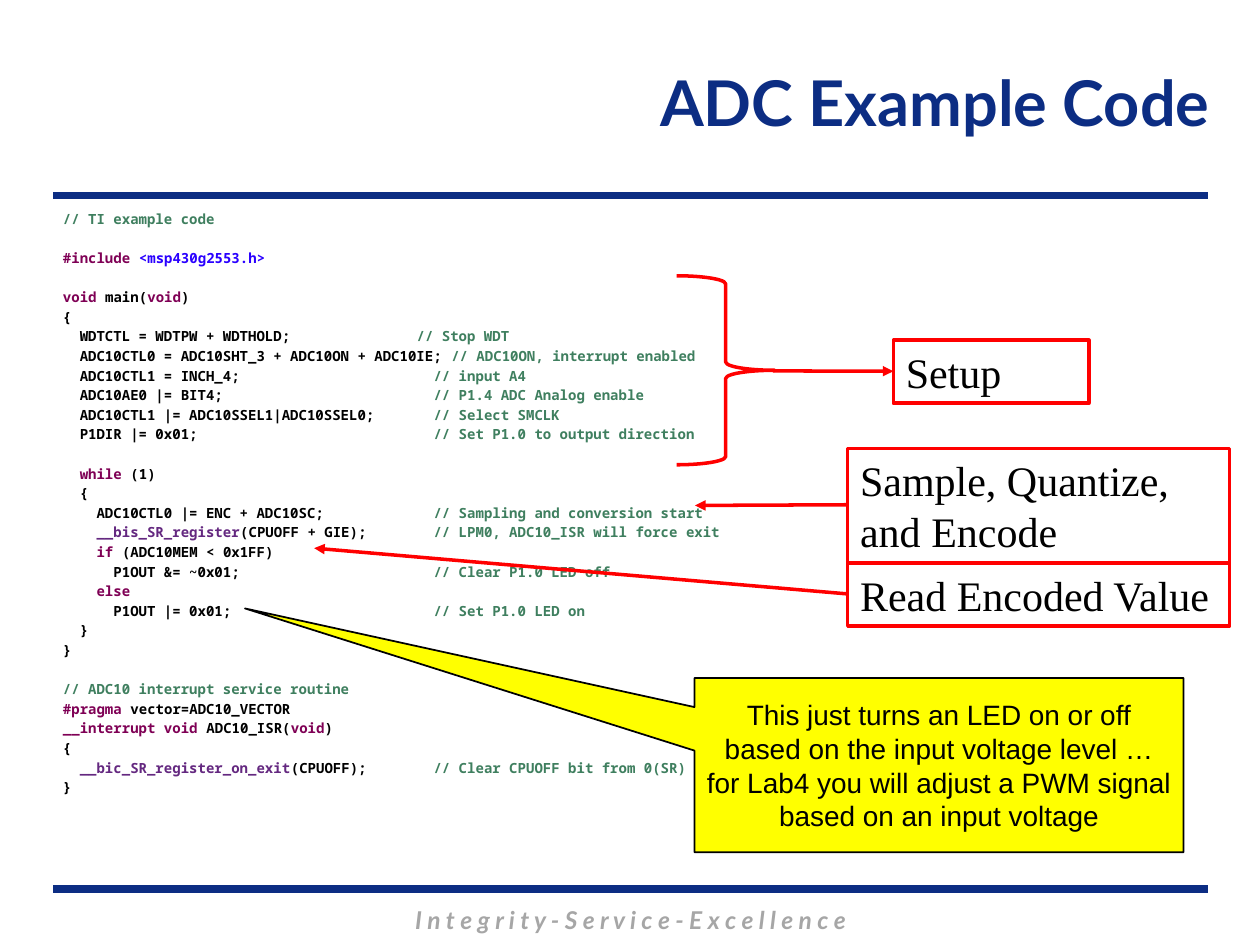
import pptx
import pptx.dml.color
import pptx.enum.shapes
import pptx.enum.text
import pptx.oxml.ns
import pptx.util
from lxml import etree
from typing import Any, NamedTuple, Optional

Cm, Pt = pptx.util.Cm, pptx.util.Pt
SHAPE = pptx.enum.shapes.MSO_SHAPE
ALIGN = pptx.enum.text.PP_ALIGN
ANCHOR = pptx.enum.text.MSO_ANCHOR
qn = pptx.oxml.ns.qn

NAVY, GREY, RED, YELLOW, WHITE = "0C2D83", "A6A6A6", "FF0000", "FFFF00", "FFFFFF"
INK, KEY, CALL, FILE, NOTE = "000000", "7F0055", "642880", "2A00FF", "3F7F5F"
PITCH = 11.2  # height of a code line in points
TAB = 7.47  # column of the code comments in cm

TITLE = {"name": "Lato", "size": Pt(36), "bold": True}
MOTTO = {"name": "Lato", "size": Pt(14), "bold": True, "italic": True}
CODE = {"name": "Noto Sans Mono", "size": Pt(8), "bold": True}
LABEL = {"name": "Times New Roman", "size": Pt(24)}
REMARK = {"name": "Arial", "size": Pt(16)}


class Box(NamedTuple):
    left: float
    top: float
    width: float
    height: float


class Line(NamedTuple):
    tokens: list[tuple[str, str]]
    note: str = ""
    gap: bool = False
    tab: Optional[float] = TAB


class Callout(NamedTuple):
    text: str
    box: Box
    bends: tuple[float, ...]
    end: str


LINES = [
    Line([("// TI example code", NOTE)]),
    Line([("#include ", KEY), ("<msp430g2553.h>", FILE)], gap=True),
    Line([("void ", KEY), ("main(", INK), ("void", KEY), (")", INK)], gap=True),
    Line([("{", INK)]),
    Line([("  WDTCTL = WDTPW + WDTHOLD;", INK)], "// Stop WDT", tab=7.13),
    Line([("  ADC10CTL0 = ADC10SHT_3 + ADC10ON + ADC10IE; ", INK)],
         "// ADC10ON, interrupt enabled", tab=None),
    Line([("  ADC10CTL1 = INCH_4;", INK)], "// input A4"),
    Line([("  ADC10AE0 |= BIT4;", INK)], "// P1.4 ADC Analog enable"),
    Line([("  ADC10CTL1 |= ADC10SSEL1|ADC10SSEL0;", INK)], "// Select SMCLK"),
    Line([("  P1DIR |= 0x01;", INK)], "// Set P1.0 to output direction"),
    Line([("  while", KEY), (" (1)", INK)], gap=True),
    Line([("  {", INK)]),
    Line([("    ADC10CTL0 |= ENC + ADC10SC;", INK)], "// Sampling and conversion start"),
    Line([("    __bis_SR_register", CALL), ("(CPUOFF + GIE);", INK)],
         "// LPM0, ADC10_ISR will force exit"),
    Line([("    if", KEY), (" (ADC10MEM < 0x1FF)", INK)]),
    Line([("      P1OUT &= ~0x01;", INK)], "// Clear P1.0 LED off"),
    Line([("    else", KEY)]),
    Line([("      P1OUT |= 0x01;", INK)], "// Set P1.0 LED on"),
    Line([("  }", INK)]),
    Line([("}", INK)]),
    Line([("// ADC10 interrupt service routine", NOTE)], gap=True),
    Line([("#pragma", KEY), (" vector=ADC10_VECTOR", INK)]),
    Line([("__interrupt void", KEY), (" ADC10_ISR(", INK), ("void", KEY), (")", INK)]),
    Line([("{", INK)]),
    Line([("  __bic_SR_register_on_exit", CALL), ("(CPUOFF);", INK)],
         "// Clear CPUOFF bit from 0(SR)"),
    Line([("}", INK)]),
]

CALLOUTS = [
    Callout("Setup", Box(18.01, 6.86, 3.94, 1.27), (0.492, 0, 0.487, -0.617), "headEnd"),
    Callout("Sample, Quantize, and Encode", Box(17.09, 9.04, 7.7, 2.31),
            (0.492, 0, 0.498, -0.4), "tailEnd"),
    Callout("Read Encoded Value", Box(17.09, 11.35, 7.7, 1.27),
            (0.492, 0, -0.236, -1.397), "tailEnd"),
]


def tint(fill: Any, shade: str) -> None:
    fill.solid()
    fill.fore_color.rgb = pptx.dml.color.RGBColor.from_string(shade)


def write(para: Any, text: str, look: dict, shade: str) -> None:
    run = para.add_run()
    run.text = text
    for name, value in look.items():
        setattr(run.font, name, value)
    tint(run.font.fill, shade)


def rule(slide: Any, top: float) -> None:
    line = slide.shapes.add_connector(
        pptx.enum.shapes.MSO_CONNECTOR.STRAIGHT, Cm(1.07), Cm(top), Cm(24.36), Cm(top))
    line.line.width = Pt(4.5)
    tint(line.line.fill, NAVY)
    etree.SubElement(line._element.spPr, qn("a:effectLst"))


def text_box(slide: Any, box: Box) -> Any:
    frame = slide.shapes.add_textbox(*map(Cm, box)).text_frame
    frame.word_wrap = True
    return frame


def form(slide: Any, kind: Any, box: Box, fill: Optional[str], edge: str,
         width: float, bends: tuple[float, ...] = ()) -> Any:
    shape = slide.shapes.add_shape(kind, *map(Cm, box))
    shape.shadow.inherit = False
    for spot, bend in enumerate(bends):
        shape.adjustments[spot] = bend
    if fill:
        tint(shape.fill, fill)
    else:
        shape.fill.background()
    shape.line.width = Pt(width)
    tint(shape.line.fill, edge)
    return shape


def label(shape: Any, text: str, look: dict, align: Any, anchor: Any) -> None:
    frame = shape.text_frame
    frame.word_wrap = True
    frame.vertical_anchor = anchor
    frame.paragraphs[0].alignment = align
    write(frame.paragraphs[0], text, look, INK)


def code(slide: Any) -> None:
    frame = text_box(slide, Box(1.02, 4.06, 23.37, 13.72))
    for row, line in enumerate(LINES):
        para = frame.add_paragraph() if row else frame.paragraphs[0]
        if line.note and line.tab:
            tabs = etree.SubElement(para._p.get_or_add_pPr(), qn("a:tabLst"))
            etree.SubElement(tabs, qn("a:tab"), pos=str(Cm(line.tab)), algn="l")
        para.line_spacing = Pt(PITCH)
        para.space_before = Pt(PITCH if line.gap else 0)
        for text, shade in line.tokens:
            write(para, text, CODE, shade)
        if line.note:
            write(para, "\t" + line.note if line.tab else line.note, CODE, NOTE)


def callout(slide: Any, item: Callout) -> None:
    shape = form(slide, SHAPE.LINE_CALLOUT_1, item.box, WHITE, RED, 2, item.bends)
    edge = shape._element.spPr.find(qn("a:ln"))
    etree.SubElement(edge, qn("a:" + item.end), type="triangle")
    label(shape, item.text, LABEL, ALIGN.LEFT, ANCHOR.TOP)


def main() -> None:
    deck = pptx.Presentation()
    deck.slide_width, deck.slide_height = Cm(25.4), Cm(19.05)
    slide = deck.slides.add_slide(deck.slide_layouts[5])

    # Title
    title = slide.shapes.title
    sides = zip(("left", "top", "width", "height"), Box(5.08, 0.51, 19.56, 3.05))
    for name, value in sides:
        setattr(title, name, Cm(value))
    title.text_frame.vertical_anchor = ANCHOR.MIDDLE
    para = title.text_frame.paragraphs[0]
    para.alignment = ALIGN.RIGHT
    write(para, "ADC Example Code", TITLE, NAVY)

    # Rules and motto
    for top in (3.94, 17.93):
        rule(slide, top)
    para = text_box(slide, Box(3.61, 18.11, 18.21, 0.86)).paragraphs[0]
    para.alignment = ALIGN.CENTER
    write(para, "I n t e g r i t y - S e r v i c e - E x c e l l e n c e", MOTTO, GREY)

    # Code and its callouts
    code(slide)
    form(slide, SHAPE.RIGHT_BRACE, Box(13.64, 5.56, 1.98, 3.81), None, RED, 2)
    for item in CALLOUTS:
        callout(slide, item)

    # Remark
    shape = form(slide, SHAPE.RECTANGULAR_CALLOUT, Box(14, 13.67, 9.86, 3.51),
                 YELLOW, INK, 1, (-1.419, -0.9))
    label(shape, "This just turns an LED on or off based on the input voltage level … "
          "for Lab4 you will adjust a PWM signal based on an input voltage",
          REMARK, ALIGN.CENTER, ANCHOR.MIDDLE)

    deck.save("out.pptx")


if __name__ == "__main__":
    main()
